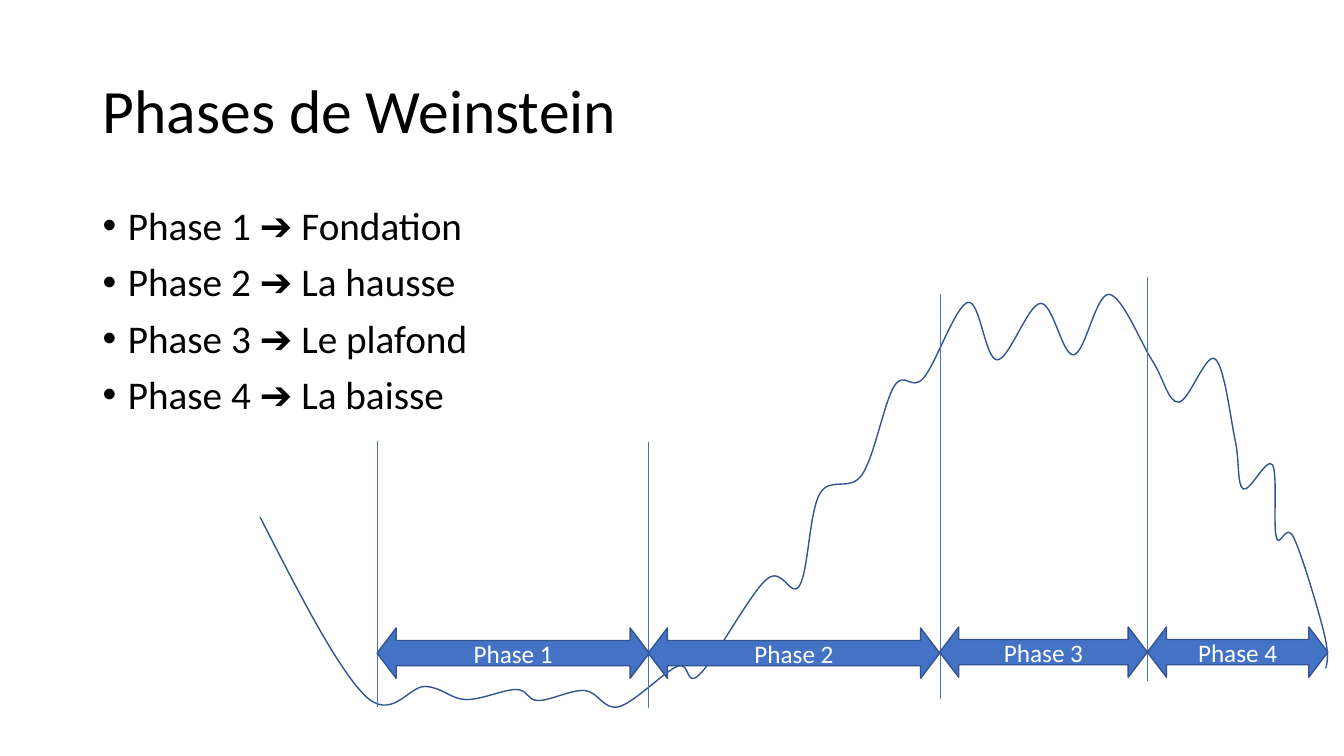
from lxml.etree import SubElement
from pptx import Presentation
from pptx.dml.color import RGBColor
from pptx.enum.shapes import MSO_CONNECTOR as Connector, MSO_SHAPE as Shape
from pptx.enum.text import MSO_ANCHOR as Anchor, PP_ALIGN as Align
from pptx.oxml.ns import qn
from pptx.util import Pt

PX = 9144
FONT = "Calibri"
COLORS = {"text": "000000", "arrow": "4472C4", "outline": "325491", "label": "FFFFFF"}

MEANINGS = ["Fondation", "La hausse", "Le plafond", "La baisse"]
DIVIDERS = [(374, 438, 701), (643, 439, 702), (933, 292, 693), (1138, 275, 676)]
ARROWS = [(374, 623, 270), (643, 623, 289), (932, 622, 206), (1138, 622, 179)]
ARROW_HEIGHT = 50
PRICES = [
    (258, 513), (361, 689), (422, 681), (462, 694), (512, 684), (534, 695),
    (580, 685), (614, 701), (672, 661), (694, 669), (760, 575), (793, 581),
    (813, 490), (855, 471), (887, 383), (916, 375), (960, 300), (989, 357),
    (1032, 301), (1065, 352), (1100, 292), (1143, 358), (1169, 399), (1205, 356),
    (1225, 436), (1233, 485), (1262, 461), (1266, 533), (1283, 533), (1313, 627),
    (1315, 663),
]


def px(*lengths):
    return [length * PX for length in lengths]


def color(name):
    return RGBColor.from_string(COLORS[name])


def add_run(paragraph, text, size, color_name):
    run = paragraph.add_run()
    run.text = text
    run.font.name = FONT
    run.font.size = Pt(size)
    run.font.color.rgb = color(color_name)


def add_text_frame(slide, left, top, width, height, anchor):
    frame = slide.shapes.add_textbox(*px(left, top, width, height)).text_frame
    frame.word_wrap = True
    frame.vertical_anchor = anchor
    return frame


def add_title(slide, text):
    paragraph = add_text_frame(slide, 92, 40, 1150, 145, Anchor.MIDDLE).paragraphs[0]
    paragraph.line_spacing = 0.9
    add_run(paragraph, text, 44, "text")


def add_bullets(slide, entries):
    frame = add_text_frame(slide, 92, 200, 1150, 476, Anchor.TOP)
    for index, entry in enumerate(entries):
        paragraph = frame.add_paragraph() if index else frame.paragraphs[0]
        paragraph.line_spacing = 0.9
        paragraph.space_before = Pt(10)
        properties = paragraph._p.get_or_add_pPr()
        properties.set("marL", str(25 * PX))
        properties.set("indent", str(-25 * PX))
        SubElement(properties, qn("a:buFont"), typeface="Arial")
        SubElement(properties, qn("a:buChar"), char="•")
        add_run(paragraph, entry, 28, "text")


def spline_controls(knots):
    tangents = [
        ((after[0] - before[0]) / 6, (after[1] - before[1]) / 6)
        for before, after in zip(knots, knots[2:])
    ]
    leaving = [(x + dx, y + dy) for (x, y), (dx, dy) in zip(knots[1:], tangents)]
    arriving = [(x - dx, y - dy) for (x, y), (dx, dy) in zip(knots[1:], tangents)]
    first = tuple((a + b) / 2 for a, b in zip(knots[0], arriving[0]))
    last = tuple((a + b) / 2 for a, b in zip(knots[-1], leaving[-1]))
    return zip([first] + leaving, arriving + [last])


def add_price_curve(slide, prices):
    start, *others = [px(*price) for price in prices]
    builder = slide.shapes.build_freeform(*start, scale=1.0)
    builder.add_line_segments(others, close=False)
    curve = builder.convert_to_shape()
    curve.shadow.inherit = False
    curve.fill.background()
    curve.line.color.rgb = color("outline")
    curve.line.width = Pt(1)
    points = list(curve._element.iter(qn("a:pt")))
    knots = [(int(point.get("x")), int(point.get("y"))) for point in points]
    for point, controls in zip(points[1:], spline_controls(knots)):
        segment = point.getparent()
        bezier = SubElement(segment.getparent(), qn("a:cubicBezTo"))
        segment.getparent().replace(segment, bezier)
        for x, y in controls:
            SubElement(bezier, qn("a:pt"), x=str(round(x)), y=str(round(y)))
        bezier.append(point)


def add_divider(slide, x, top, bottom):
    divider = slide.shapes.add_connector(Connector.STRAIGHT, *px(x, top, x, bottom))
    divider.line.color.rgb = color("arrow")
    divider.line.width = Pt(0.5)
    SubElement(divider._element.spPr, qn("a:effectLst"))


def add_phase_arrow(slide, label, left, top, width):
    arrow = slide.shapes.add_shape(
        Shape.LEFT_RIGHT_ARROW, *px(left, top, width, ARROW_HEIGHT)
    )
    arrow.adjustments[0] = 0.5
    arrow.adjustments[1] = 0.38
    arrow.shadow.inherit = False
    arrow.fill.solid()
    arrow.fill.fore_color.rgb = color("arrow")
    arrow.line.color.rgb = color("outline")
    arrow.line.width = Pt(1)
    arrow.text_frame.vertical_anchor = Anchor.MIDDLE
    paragraph = arrow.text_frame.paragraphs[0]
    paragraph.alignment = Align.CENTER
    add_run(paragraph, label, 18, "label")


def main():
    deck = Presentation()
    deck.slide_width, deck.slide_height = px(1333, 750)
    slide = deck.slides.add_slide(deck.slide_layouts[6])
    phases = [f"Phase {number}" for number in range(1, len(MEANINGS) + 1)]

    add_title(slide, "Phases de Weinstein")
    add_bullets(slide, [f"{phase} ➔ {meaning}" for phase, meaning in zip(phases, MEANINGS)])
    add_price_curve(slide, PRICES)
    for divider in DIVIDERS:
        add_divider(slide, *divider)
    for phase, arrow in zip(phases, ARROWS):
        add_phase_arrow(slide, phase, *arrow)

    deck.save("out.pptx")


if __name__ == "__main__":
    main()
